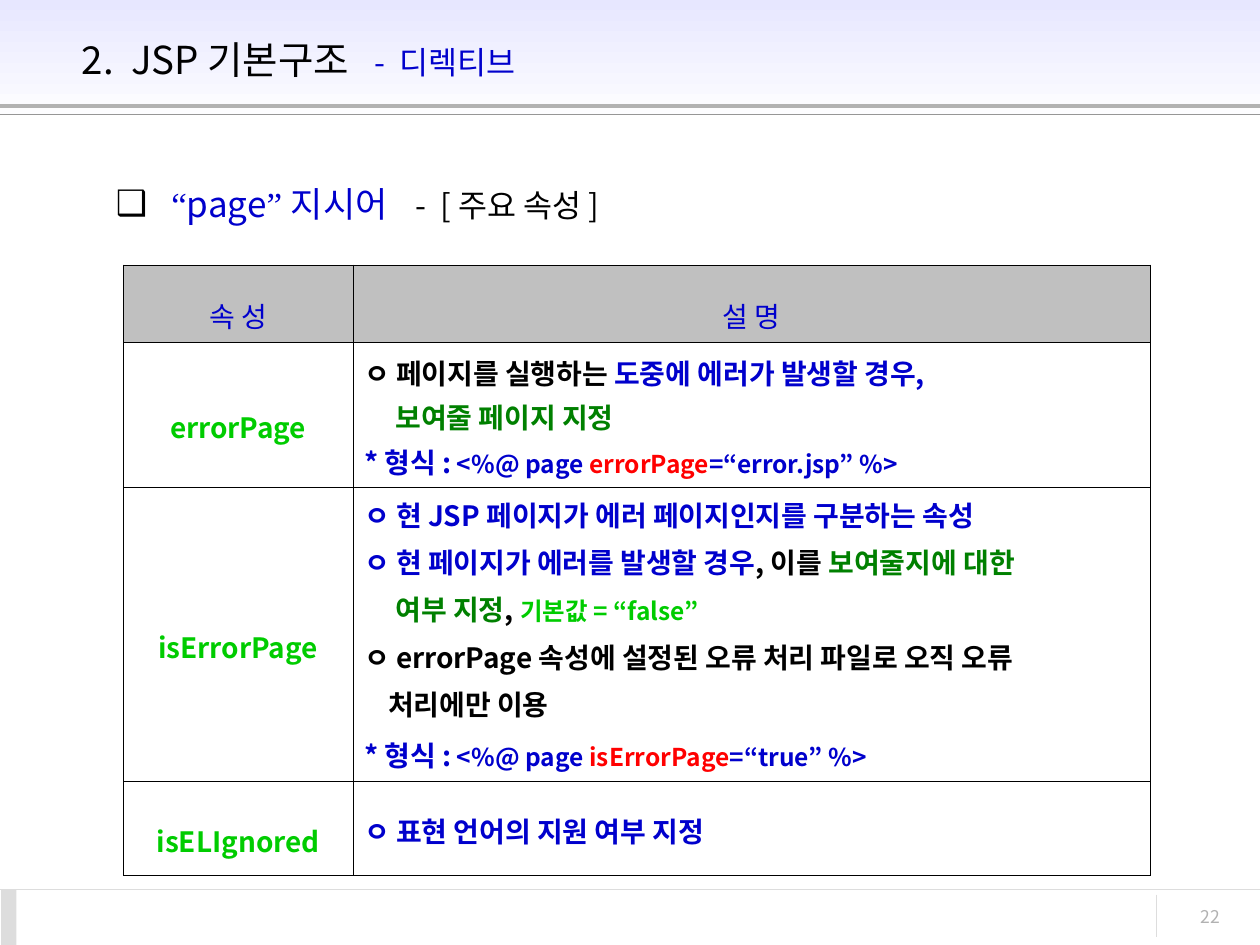
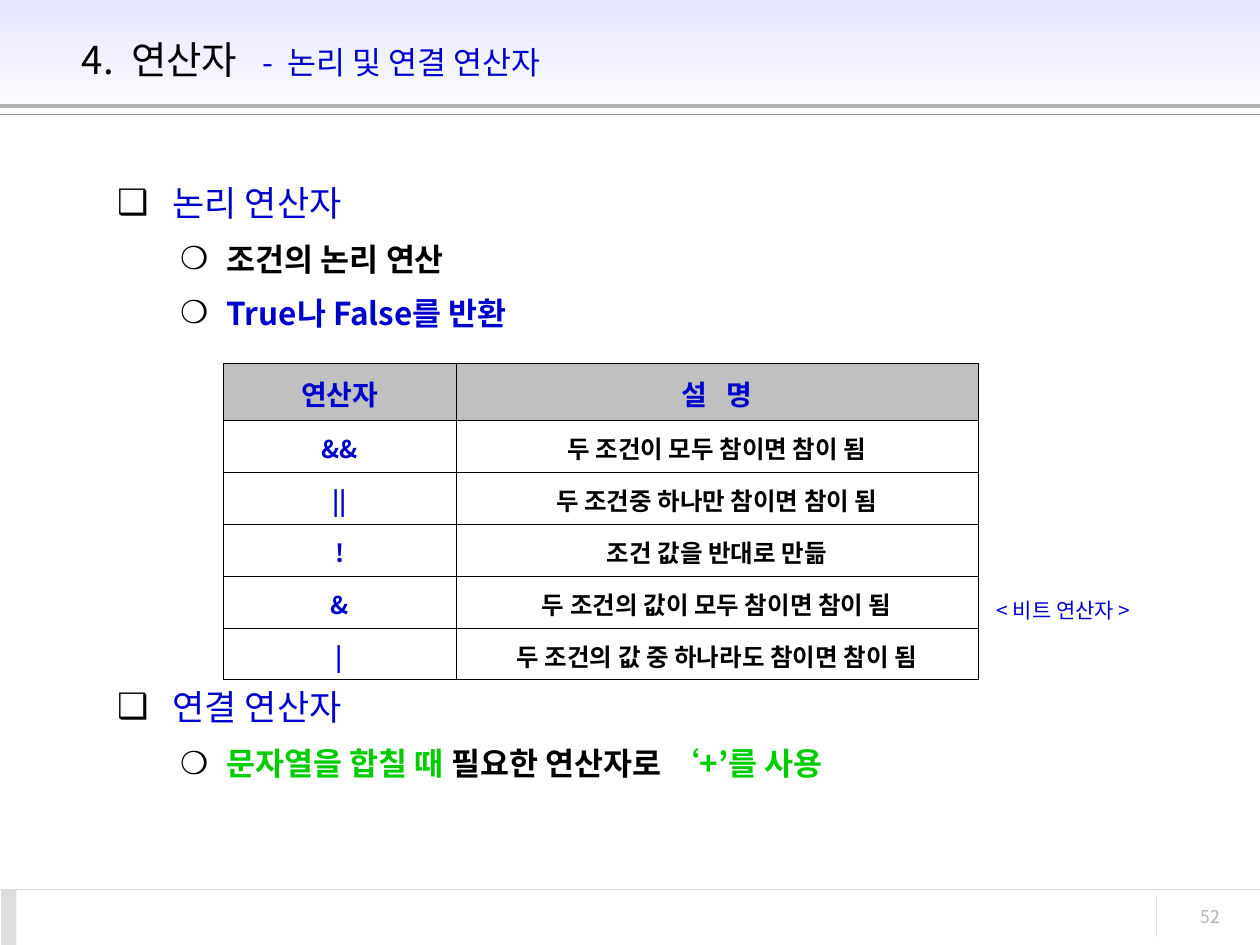
from dataclasses import dataclass

from lxml.etree import SubElement
from pptx import Presentation
from pptx.dml.color import RGBColor
from pptx.enum.shapes import MSO_CONNECTOR as Connector, MSO_SHAPE as Shape
from pptx.enum.text import MSO_ANCHOR as Anchor, MSO_AUTO_SIZE as AutoSize, PP_ALIGN as Align
from pptx.oxml.ns import qn
from pptx.util import Inches, Pt

FONT, SERIF = "Noto Sans CJK KR", "Times New Roman"
BLACK, BLUE, GREEN, LIME, RED = "000000", "0000CC", "008000", "00CC00", "FF0000"
WHITE, LAVENDER, SILVER = "FFFFFF", "E7E7FF", "C0C0C0"
RULE, THIN_RULE, PALE = "B2B2B2", "969696", "DDDDDD"
COLUMNS, ROWS = 100, 75


def rgb(code):
    return RGBColor.from_string(code)


@dataclass
class Run:
    text: str
    colour: str = BLACK
    size: float = 0
    font: str = FONT
    extra_spaces: int = 0


@dataclass
class Line:
    runs: list
    size: float = 16
    bold: bool = False
    align: Align = Align.LEFT
    spacing: float = 1.0
    before: float = 0
    after: float = 0
    bullet: str = ""
    level: int = 0
    left: float = 0
    hang: float = 0


class Lecture:
    """Builds the lecture slides in one shared style."""

    def __init__(self):
        self.deck = Presentation()
        self.deck.slide_width, self.deck.slide_height = Inches(10), Inches(7.5)
        self.slide = None

    def x(self, columns):
        return round(self.deck.slide_width * columns / COLUMNS)

    def y(self, rows):
        return round(self.deck.slide_height * rows / ROWS)

    def area(self, left, top, width, height):
        return self.x(left), self.y(top), self.x(width), self.y(height)

    def move(self, shape, area):
        shape.left, shape.top, shape.width, shape.height = self.area(*area)

    def new_slide(self, title, number):
        self.slide = self.deck.slides.add_slide(self.deck.slide_layouts[1])
        placeholders = list(self.slide.placeholders)
        band = self.block((0, 0, 100, 10), LAVENDER)
        band.fill.gradient()
        band.fill.gradient_angle = 270
        for stop, colour in zip(band.fill.gradient_stops, (LAVENDER, WHITE)):
            stop.color.rgb = rgb(colour)
        self.rule((0, 8.4), (100, 8.4), RULE, 2.25)
        self.rule((0, 9.1), (100, 9.1), THIN_RULE)
        self.rule((0, 70.6), (100, 70.6), PALE)
        self.block((0.1, 70.6, 1.2, 4.4), PALE)
        self.rule((91.8, 71), (91.8, 74.4), PALE)
        self.label((88.6, 71.4, 9.2, 3.3), Line([Run(number, RULE)], 10, align=Align.RIGHT))
        for placeholder in placeholders:
            self.slide.shapes._spTree.append(placeholder._element)
        heading = self.slide.shapes.title
        self.move(heading, (5.5, 1.3, 86.3, 6.8))
        heading.text_frame.auto_size = AutoSize.NONE
        heading.text_frame.vertical_anchor = Anchor.MIDDLE
        self.set_lines(heading.text_frame, [title])

    def block(self, area, colour):
        block = self.slide.shapes.add_shape(Shape.RECTANGLE, *self.area(*area))
        block.shadow.inherit = False
        block.fill.solid()
        block.fill.fore_color.rgb = rgb(colour)
        block.line.fill.background()
        return block

    def rule(self, start, end, colour, width=0.75):
        rule = self.slide.shapes.add_connector(
            Connector.STRAIGHT, self.x(start[0]), self.y(start[1]), self.x(end[0]), self.y(end[1]))
        rule.line.color.rgb = rgb(colour)
        rule.line.width = Pt(width)
        SubElement(rule._element.spPr, qn("a:effectLst"))

    def label(self, area, line, wrap=True):
        label = self.slide.shapes.add_textbox(*self.area(*area))
        label.text_frame.word_wrap = wrap
        self.set_lines(label.text_frame, [line])

    def points(self, area, lines):
        points = self.slide.placeholders[1]
        self.move(points, area)
        points.text_frame.auto_size = AutoSize.NONE
        self.set_lines(points.text_frame, lines)

    def set_lines(self, frame, lines):
        for index, line in enumerate(lines):
            paragraph = frame.add_paragraph() if index else frame.paragraphs[0]
            paragraph.alignment = line.align
            paragraph.level = line.level
            paragraph.line_spacing = line.spacing
            paragraph.space_before = Pt(line.before if index else 0)
            paragraph.space_after = Pt(line.after)
            properties = paragraph._p.get_or_add_pPr()
            properties.set("marL", str(self.x(line.left)))
            properties.set("indent", str(-self.x(line.hang)))
            if line.bullet:
                tint = SubElement(properties, qn("a:buClr"))
                SubElement(tint, qn("a:srgbClr"), val=BLACK)
                SubElement(properties, qn("a:buChar"), char=line.bullet)
            else:
                SubElement(properties, qn("a:buNone"))
            for part in line.runs:
                self.add_run(paragraph, part, line)

    def add_run(self, paragraph, part, line):
        run = paragraph.add_run()
        run.text = part.text
        size = part.size or line.size
        run.font.size = Pt(size)
        run.font.bold = line.bold
        run.font.color.rgb = rgb(part.colour)
        run.font.name = part.font
        properties = run._r.get_or_add_rPr()
        SubElement(properties, qn("a:ea"), typeface=part.font)
        if part.extra_spaces:
            properties.set("spc", str(round(part.extra_spaces * size * 22)))

    def table(self, corner, widths, heights, cells, inset, body_fill=None):
        area = self.area(*corner, sum(widths), sum(heights))
        grid = self.slide.shapes.add_table(len(heights), len(widths), *area).table
        grid.first_row = grid.horz_banding = False
        for column, width in zip(grid.columns, widths):
            column.width = self.x(width)
        for row, height in zip(grid.rows, heights):
            row.height = self.y(height)
        for r, row in enumerate(cells):
            for c, lines in enumerate(row):
                cell = grid.cell(r, c)
                cell.vertical_anchor = Anchor.MIDDLE
                cell.margin_left = cell.margin_right = self.x(inset)
                cell.margin_top = cell.margin_bottom = self.y(0.5)
                fill = body_fill if r else SILVER
                if fill:
                    cell.fill.solid()
                    cell.fill.fore_color.rgb = rgb(fill)
                else:
                    cell.fill.background()
                self.borders(cell)
                self.set_lines(cell.text_frame, lines)

    def borders(self, cell):
        properties = cell._tc.get_or_add_tcPr()
        for index, side in enumerate(("lnL", "lnR", "lnT", "lnB")):
            edge = SubElement(properties, qn(f"a:{side}"), w=str(Pt(0.11)))
            SubElement(SubElement(edge, qn("a:solidFill")), qn("a:srgbClr"), val=BLACK)
            properties.insert(index, edge)


def gap(extra_spaces, colour=BLACK, size=0):
    return Run(" ", colour, size, extra_spaces=extra_spaces)


def title(number, topic, subtopic):
    return Line([Run(number), gap(1), Run(topic), gap(2),
                 Run("-", BLUE, 18), gap(1, BLUE, 18), Run(subtopic, BLUE, 18)], 22)


def section(*runs, before=5.0, after=5.0):
    return Line(list(runs), 20, before=before, after=after, bullet="❑", left=4.4, hang=4.4)


def detail(*runs):
    return Line(list(runs), 18, True, before=4.5, after=4.5, bullet="❍", level=1, left=8.7, hang=3.7)


def attribute(name):
    return [Line([Run(name, LIME)], 16, True, Align.CENTER, 1.6)]


def column_head(*runs):
    return [Line(list(runs), 16, False, Align.CENTER, 1.6)]


def note(*runs, left=0.0, spacing=1.1, after=0.0):
    return Line(list(runs), 16, True, Align.JUSTIFY, spacing, after=after, left=left)


def loose_note(*runs, left=0.0):
    return note(*runs, left=left, spacing=1.0, after=4)


def syntax(name, value):
    return note(Run("* 형식 :", BLUE), Run(" ", LIME, 14), Run("<%@ page ", BLUE, 14),
                Run(name, RED, 14), Run(f"=“{value}” %>", BLUE, 14))


def operator_cell(*runs, size=14):
    return [Line(list(runs), size, True, Align.CENTER, 1.1)]


def page_directive(lecture):
    lecture.new_slide(title("2.", "JSP 기본구조", "디렉티브"), "22")
    lecture.points((8.2, 14, 86.7, 49.5), [section(
        Run("“", BLUE, font=SERIF), Run("page", BLUE), Run("” ", BLUE, font=SERIF),
        Run("지시어", BLUE), gap(3, BLUE, 18), Run("-", size=18), gap(1, size=18),
        Run("[ 주요 속성 ]", size=18), after=9)])
    error_page = [
        note(Run("ㅇ 페이지를 실행하는 "), Run("도중에 에러가 발생할 경우,", BLUE)),
        note(Run("보여줄 페이지 지정", GREEN), left=2.5),
        syntax("errorPage", "error.jsp")]
    is_error_page = [
        loose_note(Run("ㅇ 현 JSP 페이지가 에러 페이지인지를 구분하는 속성", BLUE)),
        loose_note(Run("ㅇ 현 페이지가 에러를 발생할 경우", BLUE), Run(", 이를 "),
                   Run("보여줄지에 대한", GREEN)),
        loose_note(Run("여부 지정", GREEN), Run(", "), Run("기본값 = “false”", LIME, 14), left=2.5),
        loose_note(Run("ㅇ errorPage 속성에 설정된 오류 처리 파일로 오직 오류")),
        loose_note(Run("처리에만 이용"), left=1.9),
        syntax("isErrorPage", "true")]
    lecture.table((9.8, 21), (18.2, 63.3), (5.1, 9.7, 19.9, 7.5), [
        [column_head(Run("속 성", BLUE)), column_head(Run("설 명", BLUE))],
        [attribute("errorPage"), error_page],
        [attribute("isErrorPage"), is_error_page],
        [attribute("isELIgnored"), [note(Run("ㅇ 표현 언어의 지원 여부 지정", BLUE))]],
    ], 0.9, WHITE)


def logical_operators(lecture):
    lecture.new_slide(title("4.", "연산자", "논리 및 연결 연산자"), "52")
    lecture.points((8.3, 13.9, 86.7, 49.5), [
        section(Run("논리 연산자", BLUE)),
        detail(Run("조건의 논리 연산")),
        detail(Run("True나 False를 반환", BLUE)),
        section(Run("연결 연산자", BLUE), before=198),
        detail(Run("문자열을 합칠 때", LIME), Run(" 필요한 연산자로 "), Run("‘+’를 사용", LIME))])
    meanings = {
        "&&": "두 조건이 모두 참이면 참이 됨",
        "||": "두 조건중 하나만 참이면 참이 됨",
        "!": "조건 값을 반대로 만듦",
        "&": "두 조건의 값이 모두 참이면 참이 됨",
        "|": "두 조건의 값 중 하나라도 참이면 참이 됨"}
    head = [operator_cell(Run("연산자", BLUE), size=16),
            operator_cell(Run("설", BLUE), gap(2, BLUE), Run("명", BLUE), size=16)]
    body = [[operator_cell(Run(symbol, BLUE)), operator_cell(Run(meaning))]
            for symbol, meaning in meanings.items()]
    lecture.table((17.7, 28.8), (18.5, 41.4), (3.9, *[3.6] * len(body)), [head, *body], 1)
    lecture.label((78.1, 46.9, 15.1, 3), Line([Run("< 비트 연산자 >", BLUE)], 12), wrap=False)


def main():
    lecture = Lecture()
    page_directive(lecture)
    logical_operators(lecture)
    lecture.deck.save("out.pptx")


if __name__ == "__main__":
    main()
